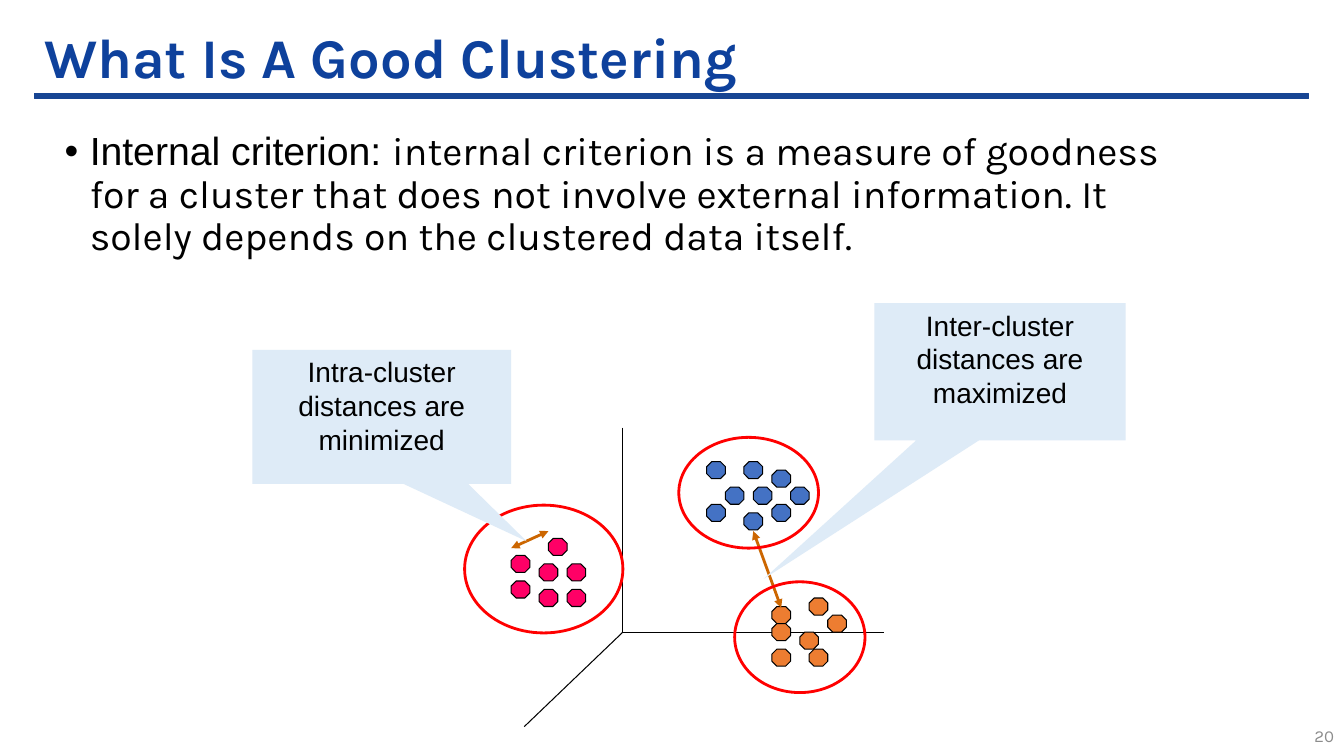
"""Build the slide on good clustering."""
from lxml.etree import SubElement
from pptx import Presentation
from pptx.dml.color import RGBColor
from pptx.enum.shapes import MSO_CONNECTOR, MSO_SHAPE
from pptx.enum.text import MSO_ANCHOR, MSO_AUTO_SIZE, PP_ALIGN
from pptx.oxml.ns import qn
from pptx.util import Inches, Pt

WIDE, HIGH = 13.33, 7.5
LEFT, TOP = 5.07, 4.58
COL, ROW = 3.14 / 34, 1.86 / 22
BLACK, RED, BROWN, PALE = "000000", "FF0000", "CC6600", "DEEBF7"
DOTS = {
    "4472C4": [(23, 3), (26, 3), (25, 0), (25, 6), (30, 3), (28, 1),
               (21, 0), (28, 5), (21, 5)],
    "FF0066": [(0, 11), (3, 12), (3, 15), (6, 12), (4, 9), (6, 15), (0, 14)],
    "ED7D31": [(28, 17), (34, 18), (31, 20), (28, 22), (32, 22), (28, 19),
               (32, 16)],
}
AXES = [(12, -4, 12, 20), (12, 20, 40, 20), (12, 20, 1.4, 31.1)]
RINGS = [(-5, 5.1, 17, 15), (18, -2.85, 15, 13), (24, 14.1, 14, 13)]


def color(code):
    """Turn a hex string into a color."""
    return RGBColor.from_string(code)


def share(x, y, w, h):
    """Turn shares of the slide into a box."""
    return [Inches(n) for n in (x * WIDE, y * HIGH, w * WIDE, h * HIGH)]


def spot(col, row):
    """Turn a column and a row of the plot into a point."""
    return Inches(LEFT + col * COL), Inches(TOP + row * ROW)


def cells(col, row, w, h):
    """Turn columns and rows of the plot into a box."""
    return *spot(col, row), Inches(w * COL), Inches(h * ROW)


def place(item, box):
    """Move an item to a box."""
    item.left, item.top, item.width, item.height = box


def write(item, *runs, size, ink=BLACK, bold=False, align=PP_ALIGN.LEFT,
          anchor=MSO_ANCHOR.TOP, lines=1.0, after=0, bullet=None):
    """Write one paragraph of (text, font) runs into an item."""
    frame = item.text_frame
    frame.word_wrap = True
    frame.auto_size = MSO_AUTO_SIZE.NONE
    frame.vertical_anchor = anchor
    para = frame.paragraphs[0]
    para.alignment, para.line_spacing = align, lines
    para.space_before, para.space_after = Pt(0), Pt(after)
    if bullet:
        props = para._p.get_or_add_pPr()
        props.set("marL", str(Inches(0.25)))
        props.set("indent", str(Inches(-0.25)))
        SubElement(props, qn("a:buFont"), typeface="Arial")
        SubElement(props, qn("a:buChar"), char=bullet)
    for text, name in runs:
        run = para.add_run()
        run.text = text
        font = run.font
        font.name, font.size, font.bold = name, Pt(size), bold
        font.color.rgb = color(ink)


def shape(slide, kind, box, fill=None, line=None, width=0.75):
    """Add a preset shape."""
    item = slide.shapes.add_shape(kind, *box)
    item.shadow.inherit = False
    if fill:
        item.fill.solid()
        item.fill.fore_color.rgb = color(fill)
    else:
        item.fill.background()
    if line:
        item.line.color.rgb = color(line)
        item.line.width = Pt(width)
    else:
        item.line.fill.background()
    return item


def link(slide, ends, ink=BLACK, width=0.75, heads=False):
    """Add a straight line, with heads at both ends if asked."""
    x, y, right, low = ends
    item = slide.shapes.add_connector(
        MSO_CONNECTOR.STRAIGHT, *spot(x, y), *spot(right, low))
    item.line.color.rgb = color(ink)
    item.line.width = Pt(width)
    if heads:
        for tag in ("a:headEnd", "a:tailEnd"):
            SubElement(item.line._get_or_add_ln(), qn(tag), type="triangle")
    SubElement(item._element.spPr, qn("a:effectLst"))


def callout(slide, text, box, tip):
    """Add a callout whose tip is given as shares of its size."""
    item = shape(slide, MSO_SHAPE.RECTANGULAR_CALLOUT, cells(*box), PALE)
    item.adjustments[0], item.adjustments[1] = tip
    write(item, (text, "Arial"), size=20, align=PP_ALIGN.CENTER)


def plot(slide):
    """Draw the axes, the clusters and their distances."""
    for ends in AXES:
        link(slide, ends)
    for fill, spots in DOTS.items():
        for col, row in spots:
            dot = shape(slide, MSO_SHAPE.OCTAGON, cells(col, row, 2, 2),
                        fill, BLACK)
            dot.adjustments[0] = 0.29
    link(slide, (29, 17.15, 26, 8.15), BROWN, 2, True)
    callout(slide, "Inter-cluster distances are maximized",
            (39, -18.6, 27, 16.1), (-0.94, 1.51))
    for ring in RINGS:
        shape(slide, MSO_SHAPE.OVAL, cells(*ring), line=RED, width=2)
    link(slide, (0, 10.15, 4, 8.15), BROWN, 2, True)
    callout(slide, "Intra-cluster distances are minimized",
            (-27.8, -13.1, 27.8, 15.7), (0.56, 0.93))


def main():
    """Build and save the slide."""
    deck = Presentation()
    deck.slide_width, deck.slide_height = Inches(WIDE), Inches(HIGH)
    slide = deck.slides.add_slide(deck.slide_layouts[1])
    title, body = slide.placeholders
    edge, span = 0.34 / WIDE, 12.64 / WIDE
    shape(slide, MSO_SHAPE.RECTANGLE,
          share(edge, 0.93 / HIGH, span, 0.05 / HIGH), "174593", "174593", 1)
    place(title, share(edge, 0.26 / HIGH, span, 0.67 / HIGH))
    write(title, ("What Is A Good Clustering", "Karla"), size=40,
          ink="0E419C", bold=True, anchor=MSO_ANCHOR.MIDDLE, lines=0.9)
    place(body, share(0.54 / WIDE, 1.26 / HIGH, 11.31 / WIDE, 0.22))
    write(body, ("Internal criterion: ", "Arial"),
          ("internal criterion is a measure of goodness for a cluster that "
           "does not involve external information. It solely depends on the "
           "clustered data itself.", "Karla"),
          size=28, lines=0.9, after=18, bullet="•")
    plot(slide)
    page = slide.shapes.add_textbox(
        *share(0.95, 7.1 / HIGH, 0.05, 0.4 / HIGH))
    write(page, ("20", "Karla"), size=12, ink="8C8C8C",
          align=PP_ALIGN.RIGHT, anchor=MSO_ANCHOR.MIDDLE)
    deck.save("out.pptx")


if __name__ == "__main__":
    main()
